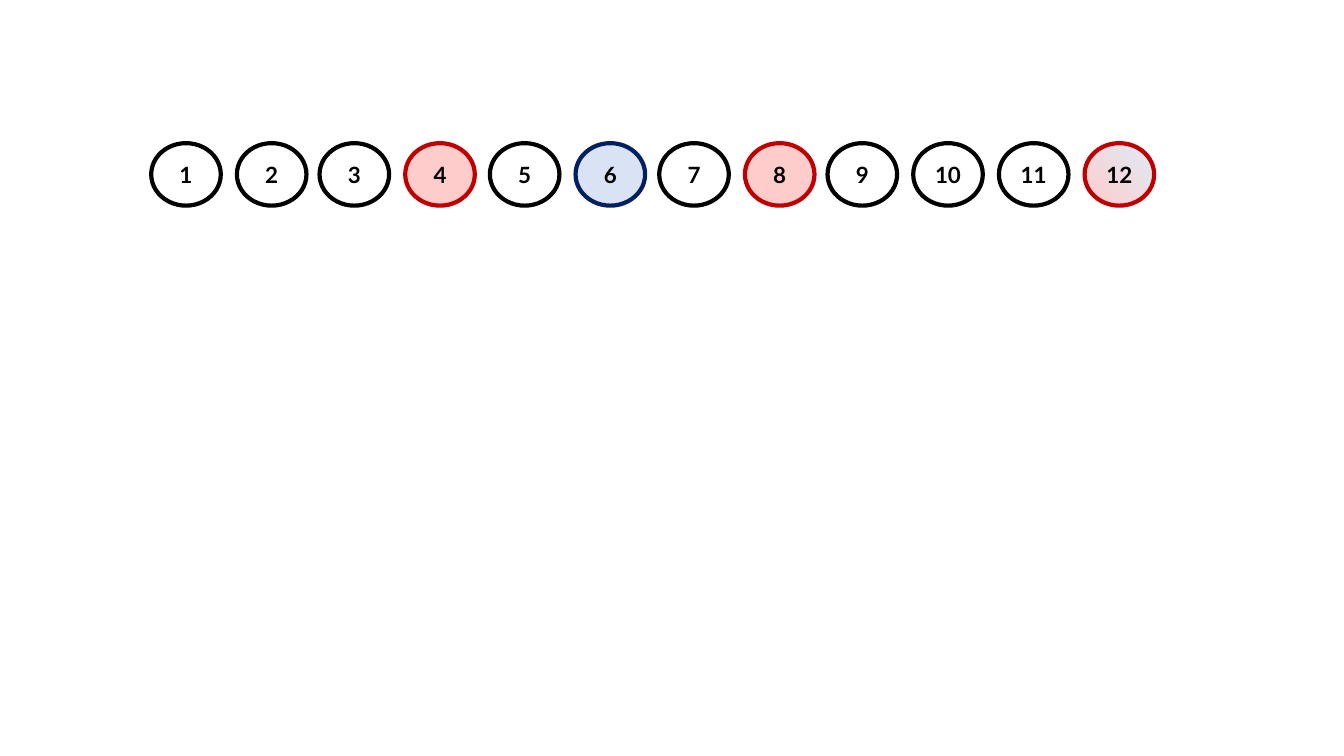
from pptx import Presentation
from pptx.dml.color import RGBColor
from pptx.enum.shapes import MSO_SHAPE
from pptx.enum.text import MSO_ANCHOR, PP_ALIGN
from pptx.util import Pt

BLACK = RGBColor(0x00, 0x00, 0x00)
WHITE = RGBColor(0xFF, 0xFF, 0xFF)
RED = RGBColor(0xC0, 0x00, 0x00)
PINK = RGBColor(0xFF, 0xCC, 0xCC)
NAVY = RGBColor(0x00, 0x20, 0x60)
PALE_BLUE = RGBColor(0xDA, 0xE3, 0xF3)
ICE_BLUE = RGBColor(0xDE, 0xEB, 0xF7)

# Left edge of each numbered circle; the spacing is slightly uneven
CIRCLE_LEFTS = [108, 169.2, 228.24, 289.44, 349.92, 411.12,
                470.88, 532.08, 591.12, 652.32, 713.52, 774.72]
# number: (outline, fill colours), two fill colours make a gradient
PLAIN = (BLACK, [WHITE])
HIGHLIGHTS = {
    4: (RED, [PINK]),
    6: (NAVY, [PALE_BLUE]),
    8: (RED, [PINK]),
    12: (RED, [ICE_BLUE, PINK]),
}
CIRCLE_TOP, CIRCLE_WIDTH, CIRCLE_HEIGHT = 102.24, 49.68, 44.64


def paint(fill, colours):
    """Fill with one solid colour, or with a diagonal gradient of two."""
    if len(colours) == 1:
        fill.solid()
        fill.fore_color.rgb = colours[0]
        return
    fill.gradient()
    fill.gradient_angle = 225
    for stop, colour, position in zip(fill.gradient_stops, colours, (0, 1)):
        stop.color.rgb = colour
        stop.position = position


def add_circle(slide, number, left):
    outline, colours = HIGHLIGHTS.get(number, PLAIN)
    circle = slide.shapes.add_shape(
        MSO_SHAPE.OVAL, Pt(left), Pt(CIRCLE_TOP), Pt(CIRCLE_WIDTH), Pt(CIRCLE_HEIGHT))
    circle.shadow.inherit = False
    paint(circle.fill, colours)
    circle.line.color.rgb = outline
    circle.line.width = Pt(3)

    frame = circle.text_frame
    frame.margin_left = frame.margin_right = Pt(0)
    frame.vertical_anchor = MSO_ANCHOR.MIDDLE
    frame.text = str(number)
    label = frame.paragraphs[0]
    label.alignment = PP_ALIGN.CENTER
    font = label.runs[0].font
    font.name, font.size, font.bold = "Lato", Pt(16), True
    font.color.rgb = BLACK


def main():
    deck = Presentation()
    deck.slide_width, deck.slide_height = Pt(960), Pt(540)
    slide = deck.slides.add_slide(deck.slide_layouts[6])
    for number, left in enumerate(CIRCLE_LEFTS, start=1):
        add_circle(slide, number, left)
    deck.save("out.pptx")


if __name__ == "__main__":
    main()
